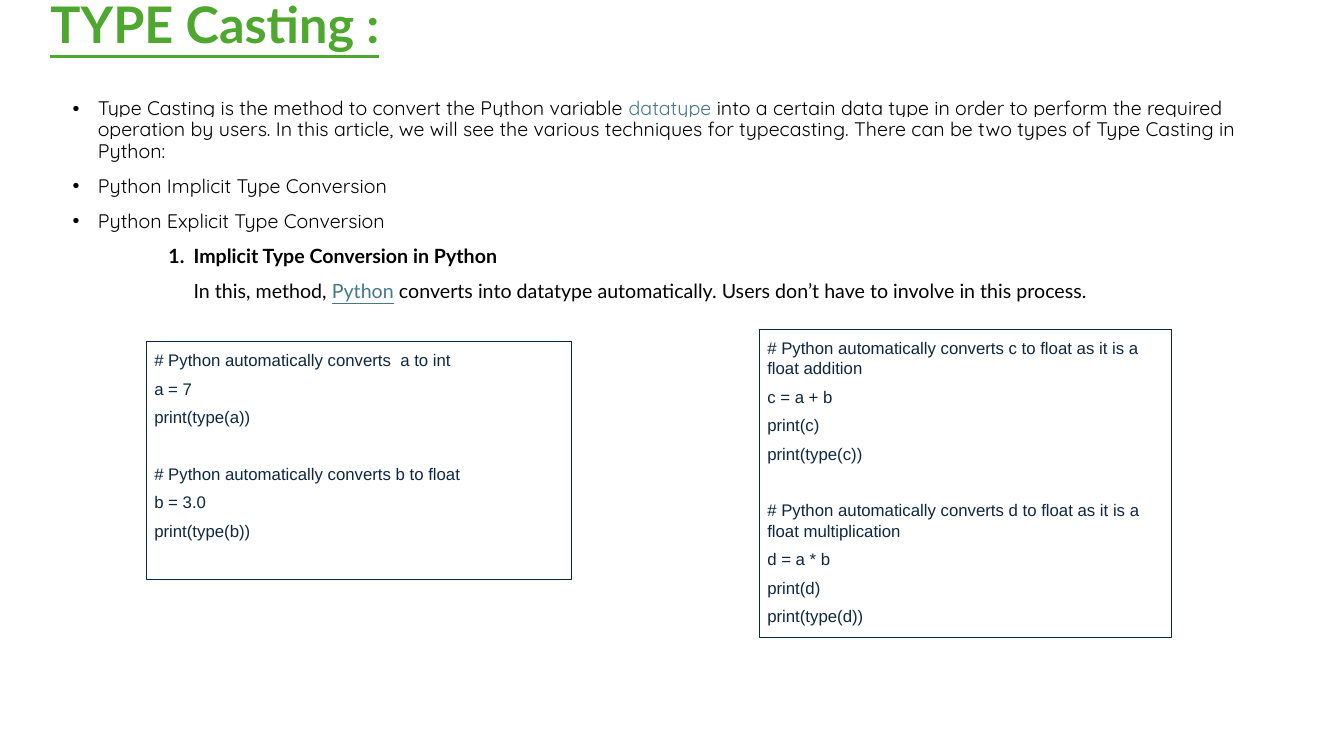
from lxml import etree
from pptx import Presentation
from pptx.dml.color import RGBColor
from pptx.enum.shapes import MSO_SHAPE
from pptx.enum.text import MSO_ANCHOR, MSO_AUTO_SIZE, PP_ALIGN
from pptx.oxml.ns import qn
from pptx.util import Inches, Pt

RECTANGLE = MSO_SHAPE.RECTANGLE
TOP = MSO_ANCHOR.TOP
NO_AUTOFIT = MSO_AUTO_SIZE.NONE
LEFT = PP_ALIGN.LEFT

GREEN, BLACK, LINK, NAVY = "4EA72E", "000000", "467886", "0E2841"
WHITE, PALE = "FFFFFF", "F5F5F5"
BULLET = ("a:buChar", {"char": "•"})
NUMBER = ("a:buAutoNum", {"type": "arabicPeriod"})
PLAIN = ("a:buNone", {})


def color(value):
    return RGBColor.from_string(value)


def add_span(para, text, size=14, font="Quicksand", fill=BLACK, bold=False,
             underline=False, highlight=None):
    span = para.add_run()
    span.text = text
    span.font.size = Pt(size)
    span.font.bold = bold
    span.font.underline = underline
    span.font.color.rgb = color(fill)
    if highlight:
        mark = etree.SubElement(span.font._element, qn("a:highlight"))
        etree.SubElement(mark, qn("a:srgbClr"), val=highlight)
    span.font.name = font


def set_marker(para, marker, margin, hanging):
    """Set the list marker and its indents, in inches."""
    properties = para._p.get_or_add_pPr()
    properties.set("marL", str(Inches(margin)))
    properties.set("indent", str(Inches(-hanging)))
    tag, attributes = marker
    etree.SubElement(properties, qn(tag), attributes)


class Page:
    def __init__(self, deck):
        self.slide = deck.slides.add_slide(deck.slide_layouts[1])

    def place(self, shape, bounds):
        shape.left, shape.top, shape.width, shape.height = map(Inches, bounds)

    def frame(self, shape, inset):
        frame = shape.text_frame
        frame.word_wrap = True
        frame.auto_size = NO_AUTOFIT
        frame.vertical_anchor = TOP
        frame.margin_left = frame.margin_right = Inches(inset)
        frame.margin_top = frame.margin_bottom = Inches(inset)
        return frame

    def paragraph(self, frame, index):
        para = frame.add_paragraph() if index else frame.paragraphs[0]
        para.alignment = LEFT
        return para

    def title(self, text, bounds):
        title = self.slide.shapes.title
        self.place(title, bounds)
        para = self.paragraph(self.frame(title, 0), 0)
        para.line_spacing = 0.9
        add_span(para, text, size=36, font="Lato", fill=GREEN, bold=True, underline=True)

    def body(self, items, bounds):
        """Fill the body with (marker, margin, hanging, format, spans) items."""
        body = self.slide.placeholders[1]
        self.place(body, bounds)
        frame = self.frame(body, 0.1)
        for index, (marker, margin, hanging, style, spans) in enumerate(items):
            para = self.paragraph(frame, index)
            para.line_spacing = 0.9
            para.space_before = Pt(10)
            set_marker(para, marker, margin, hanging)
            for text, is_link in spans:
                add_span(para, text, fill=LINK if is_link else BLACK,
                         underline=is_link, highlight=WHITE, **style)

    def rectangle(self, bounds, fill=None, line=None):
        box = self.slide.shapes.add_shape(RECTANGLE, *map(Inches, bounds))
        box.shadow.inherit = False
        if fill:
            box.fill.solid()
            box.fill.fore_color.rgb = color(fill)
        else:
            box.fill.background()
        if line:
            box.line.color.rgb = color(line)
            box.line.width = Pt(0.75)
        else:
            box.line.fill.background()
        return box

    def code(self, lines, bounds):
        """Draw a code box; each later comment line opens a new block."""
        frame = self.frame(self.rectangle(bounds, line=NAVY), 0.08)
        for index, text in enumerate(lines):
            para = self.paragraph(frame, index)
            para.space_after = Pt(6)
            if index and text.startswith("#"):
                para.space_before = Pt(20)
            add_span(para, text, size=12, font="Arial", fill=NAVY)


def main():
    deck = Presentation()
    deck.slide_width, deck.slide_height = Inches(13.33), Inches(7.5)
    page = Page(deck)

    page.title("TYPE Casting :", (0.5, 0, 11.02, 0.76))

    bullet = (BULLET, 0.25, 0.25, {})
    page.body([
        (*bullet, [
            ("Type Casting is the method to convert the Python variable\u00a0", False),
            ("datatype", True),
            ("\u00a0into a certain data type in order to perform the required operation "
             "by users. In this article, we will see the various techniques for "
             "typecasting. There can be two types of Type Casting in Python:", False),
        ]),
        (*bullet, [("Python Implicit Type Conversion", False)]),
        (*bullet, [("Python Explicit Type Conversion", False)]),
        (NUMBER, 1.2, 0.25, {"font": "Lato", "bold": True},
         [("Implicit Type Conversion in Python", False)]),
        (PLAIN, 1.2, 0, {"font": "Lato"}, [
            ("In this, method,\u00a0", False),
            ("Python", True),
            ("\u00a0converts into datatype automatically. Users don’t have to involve "
             "in this process.", False),
        ]),
    ], (0.62, 0.88, 12.34, 5.42))

    page.rectangle((0.53, 5.38, 0, 0.3), fill=PALE)

    page.code([
        "# Python automatically converts  a to int",
        "a = 7",
        "print(type(a))",
        "# Python automatically converts b to float",
        "b = 3.0",
        "print(type(b))",
    ], (1.45, 3.39, 4.22, 2.36))
    page.code([
        "# Python automatically converts c to float as it is a float addition",
        "c = a + b",
        "print(c)",
        "print(type(c))",
        "# Python automatically converts d to float as it is a float multiplication",
        "d = a * b",
        "print(d)",
        "print(type(d))",
    ], (7.53, 3.27, 4.09, 3.05))

    deck.save("out.pptx")


if __name__ == "__main__":
    main()
